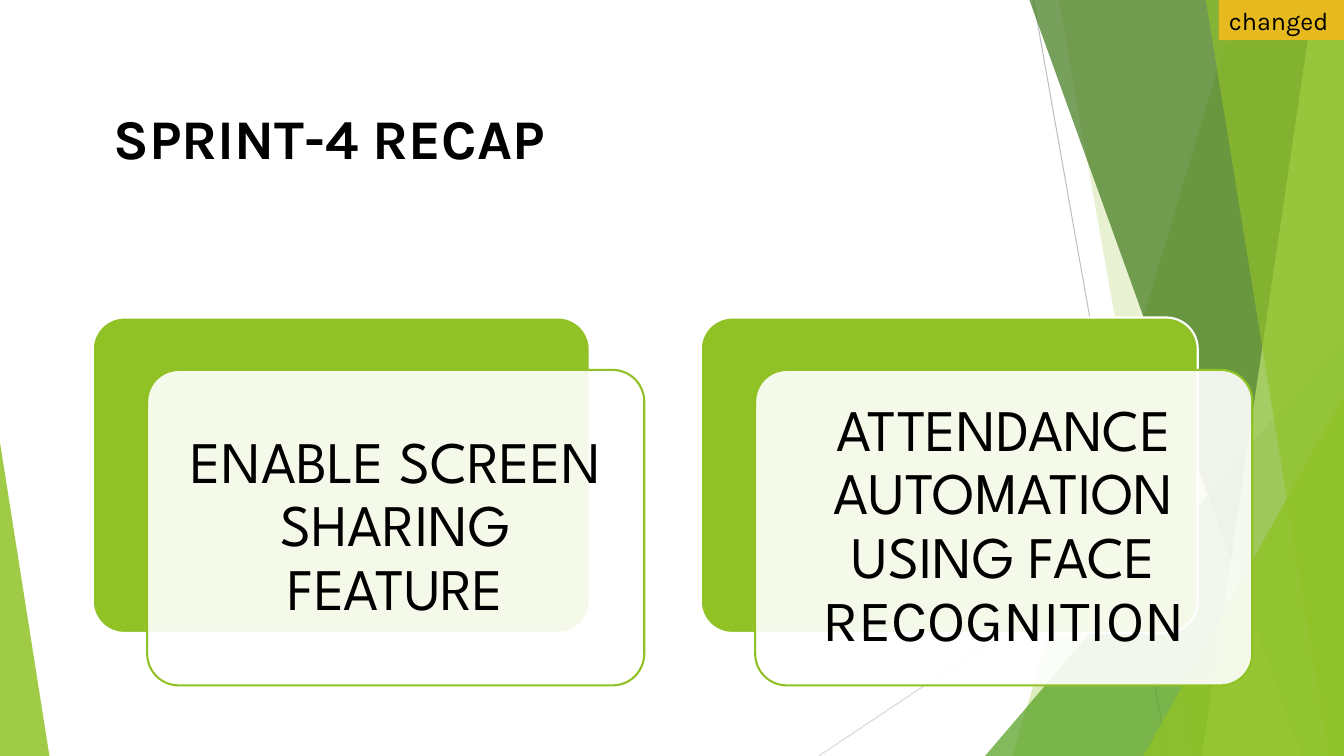
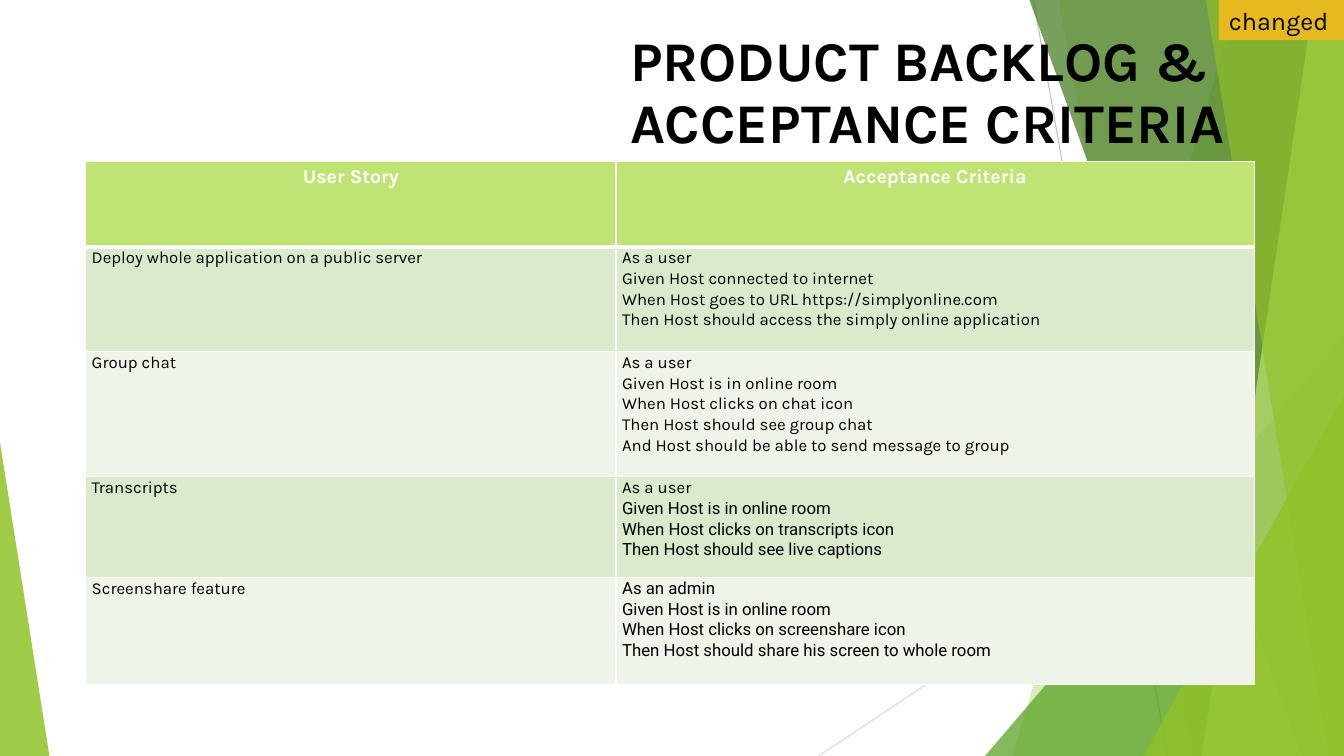
from dataclasses import dataclass
from lxml.etree import SubElement
from pptx import Presentation
from pptx.dml.color import RGBColor
from pptx.enum.shapes import MSO_CONNECTOR, MSO_SHAPE
from pptx.enum.text import MSO_ANCHOR as Anchor, PP_ALIGN as Align
from pptx.oxml import parse_xml
from pptx.oxml.ns import nsdecls, qn
from pptx.util import Inches, Pt


@dataclass(frozen=True)
class Theme:
    green: str = "90C226"
    mid_green: str = "54A021"
    dark_green: str = "3F7819"
    light_green: str = "C0E474"
    row_fills: tuple = ("DBE9CD", "EEF4E8")
    gold: str = "E6B91E"
    white: str = "FFFFFF"
    black: str = "000000"
    grays: tuple = ("BFBFBF", "D9D9D9")
    font: str = "Karla"
    card_font: str = "League Spartan"
    plain_font: str = "Roboto"
    title_size: int = 40
    card_size: int = 42
    tag_size: int = 18
    header_size: int = 14
    body_size: int = 12


THEME = Theme()
WIDTH, HEIGHT = 13.33, 7.5

RAYS = [(10.25, 0, 11.58, HEIGHT), (WIDTH, 4.03, 8.12, HEIGHT)]
PANEL, TRIANGLE = "panel", "triangle"
FACETS = [
    (PANEL, (12.28, 10.04), THEME.green, 30),
    (PANEL, (10.5, 11.83), THEME.green, 20),
    (TRIANGLE, (9.77, 3.33, 3.56, 1), THEME.mid_green, 72),
    (PANEL, (10.21, 12.91), THEME.dark_green, 70),
    (PANEL, (13.03, 11.92), THEME.light_green, 70),
    (PANEL, (11.96, 13.18), THEME.green, 65),
    (TRIANGLE, (11.34, 3.93, 1.99, 1), THEME.green, 80),
    (TRIANGLE, (0, 4.39, 0.49, 0), THEME.green, 85),
]
TAG = "changed"

RECAP_TITLE = ["SPRINT-4 RECAP"]
RECAP_CARDS = [
    [("ENABLE SCREEN SHARING FEATURE", THEME.card_font)],
    [("ATTENDANCE AUTOMATION USING FACE", THEME.card_font), (" RECOGNITION", THEME.font)],
]

BACKLOG_TITLE = ["PRODUCT BACKLOG &", "ACCEPTANCE CRITERIA"]
BACKLOG_HEADER = ["User Story", "Acceptance Criteria"]
BACKLOG = [
    ("Deploy whole application on a public server",
     ["As a user", "Given Host connected to internet",
      "When Host goes to URL https://simplyonline.com",
      "Then Host should access the simply online application"], []),
    ("Group chat",
     ["As a user", "Given Host is in online room", "When Host clicks on chat icon",
      "Then Host should see group chat",
      "And Host should be able to send message to group"], []),
    ("Transcripts",
     ["As a user"],
     ["Given Host is in online room", "When Host clicks on transcripts icon",
      "Then Host should see live captions"]),
    ("Screenshare feature",
     [],
     ["As an admin", "Given Host is in online room", "When Host clicks on screenshare icon",
      "Then Host should share his screen to whole room"]),
]
COLUMN_WIDTHS = [5.26, 6.33]
ROW_HEIGHTS = [0.85, 1.04, 1.24, 1, 1.06]


def rgb(color):
    return RGBColor.from_string(color)


def inches(*values):
    return [Inches(value) for value in values]


def style(font, size, name=THEME.font, color=THEME.black, bold=False):
    font.size, font.name, font.bold = Pt(size), name, bold
    font.color.rgb = rgb(color)


def paint(shape, color, opacity=100, line=None):
    shape.shadow.inherit = False
    shape.fill.solid()
    shape.fill.fore_color.rgb = rgb(color)
    if opacity < 100:
        color_element = shape.element.spPr.find(f"{qn('a:solidFill')}/{qn('a:srgbClr')}")
        SubElement(color_element, qn("a:alpha"), val=str(opacity * 1000))
    if line:
        shape.line.color.rgb = rgb(line)
        shape.line.width = Pt(1.5)
    else:
        shape.line.fill.background()


def add_lines(frame, lines):
    for index, text in enumerate(lines):
        paragraph = frame.paragraphs[0] if index == 0 else frame.add_paragraph()
        paragraph.text = text
        yield paragraph


def add_backdrop(slide):
    for ray, color in zip(RAYS, THEME.grays):
        connector = slide.shapes.add_connector(MSO_CONNECTOR.STRAIGHT, *inches(*ray))
        connector.line.color.rgb = rgb(color)
        connector.line.width = Pt(0.75)
        SubElement(connector.element.spPr, qn("a:effectLst"))
    for kind, geometry, color, opacity in FACETS:
        if kind == PANEL:
            top, bottom = geometry
            builder = slide.shapes.build_freeform(*inches(top, 0))
            corners = [(WIDTH, 0), (WIDTH, HEIGHT), (bottom, HEIGHT)]
            builder.add_line_segments([inches(*corner) for corner in corners])
            facet = builder.convert_to_shape()
        else:
            left, top, width, apex = geometry
            facet = slide.shapes.add_shape(
                MSO_SHAPE.ISOSCELES_TRIANGLE, *inches(left, top, width, HEIGHT - top))
            facet.adjustments[0] = apex
        paint(facet, color, opacity)


def add_title(slide, lines, box, anchor, align, spacing):
    frame = slide.shapes.add_textbox(*inches(*box)).text_frame
    frame.word_wrap = True
    frame.vertical_anchor = anchor
    for paragraph in add_lines(frame, lines):
        paragraph.alignment = align
        paragraph.line_spacing = spacing
        paragraph.space_after = Pt(6)
        style(paragraph.font, THEME.title_size, bold=True)


def add_tag(slide):
    tag = slide.shapes.add_shape(MSO_SHAPE.RECTANGLE, *inches(12.09, 0, 1.25, 0.4))
    paint(tag, THEME.gold)
    tag.text_frame.word_wrap = True
    for paragraph in add_lines(tag.text_frame, [TAG]):
        paragraph.alignment = Align.LEFT
        style(paragraph.font, THEME.tag_size)


def add_card(slide, left, runs):
    layers = [
        (left, 3.15, THEME.green, 100, THEME.white),
        (left + 0.54, 3.67, THEME.white, 90, THEME.green),
    ]
    for x, y, fill, opacity, line in layers:
        card = slide.shapes.add_shape(MSO_SHAPE.ROUNDED_RECTANGLE, *inches(x, y, 4.93, 3.13))
        card.adjustments[0] = 0.1
        paint(card, fill, opacity, line)
    frame = card.text_frame
    frame.word_wrap = True
    frame.vertical_anchor = Anchor.MIDDLE
    frame.margin_left = frame.margin_right = Inches(0.23)
    paragraph = frame.paragraphs[0]
    paragraph.alignment = Align.CENTER
    paragraph.line_spacing = 0.9
    for text, font_name in runs:
        run = paragraph.add_run()
        run.text = text
        style(run.font, THEME.card_size, font_name)


def format_cell(cell, fill, margins, top=1, bottom=1):
    cell.fill.solid()
    cell.fill.fore_color.rgb = rgb(fill)
    cell.margin_left = cell.margin_right = Inches(margins[0])
    cell.margin_top = cell.margin_bottom = Inches(margins[1])
    borders = [("L", 1), ("R", 1), ("T", top), ("B", bottom)]
    for index, (side, width) in enumerate(borders):
        border = parse_xml(
            f'<a:ln{side} {nsdecls("a")} w="{Pt(width)}"><a:solidFill>'
            f'<a:srgbClr val="{THEME.white}"/></a:solidFill></a:ln{side}>')
        cell._tc.get_or_add_tcPr().insert(index, border)


def add_backlog(slide):
    box = inches(0.85, 1.6, sum(COLUMN_WIDTHS), sum(ROW_HEIGHTS))
    table = slide.shapes.add_table(len(ROW_HEIGHTS), len(COLUMN_WIDTHS), *box).table
    for column, width in zip(table.columns, COLUMN_WIDTHS):
        column.width = Inches(width)
    for row, height in zip(table.rows, ROW_HEIGHTS):
        row.height = Inches(height)
    for column, heading in enumerate(BACKLOG_HEADER):
        cell = table.cell(0, column)
        format_cell(cell, THEME.light_green, (0.08, 0.04), bottom=3)
        for paragraph in add_lines(cell.text_frame, [heading]):
            paragraph.alignment = Align.CENTER
            style(paragraph.font, THEME.header_size, color=THEME.white, bold=True)
    for row, (story, criteria, plain_criteria) in enumerate(BACKLOG, 1):
        fill = THEME.row_fills[(row - 1) % 2]
        columns = [([story], 1), (criteria + plain_criteria, len(criteria))]
        for column, (lines, styled_count) in enumerate(columns):
            cell = table.cell(row, column)
            format_cell(cell, fill, (0.06, 0), top=3 if row == 1 else 1)
            for index, paragraph in enumerate(add_lines(cell.text_frame, lines)):
                paragraph.line_spacing = 1.06
                font_name = THEME.font if index < styled_count else THEME.plain_font
                style(paragraph.font, THEME.body_size, font_name)


def build_recap(slide):
    add_title(slide, RECAP_TITLE, (1.01, 0.7, 4.49, 1.41), Anchor.MIDDLE, Align.RIGHT, 0.9)
    for index, runs in enumerate(RECAP_CARDS):
        add_card(slide, 0.92 + index * 6.03, runs)


def build_backlog(slide):
    add_backlog(slide)
    add_title(slide, BACKLOG_TITLE, (6.15, 0.22, 6.49, 1.36), Anchor.BOTTOM, Align.LEFT, 0.8)


def main():
    presentation = Presentation()
    presentation.slide_width, presentation.slide_height = inches(WIDTH, HEIGHT)
    for build in (build_recap, build_backlog):
        slide = presentation.slides.add_slide(presentation.slide_layouts[6])
        add_backdrop(slide)
        build(slide)
        add_tag(slide)
    presentation.save("out.pptx")


if __name__ == "__main__":
    main()
